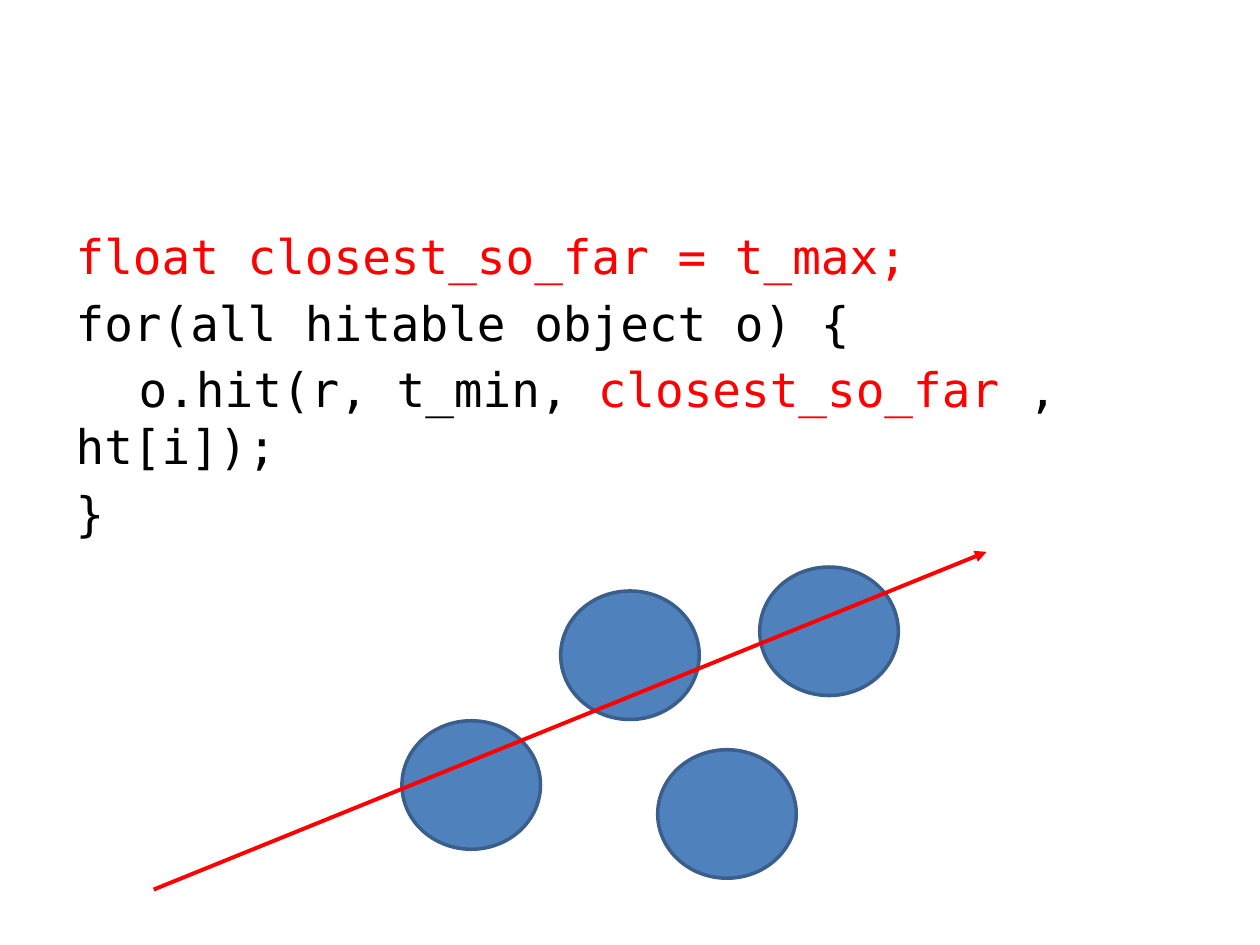
from pptx import Presentation
from pptx.dml.color import RGBColor as RGB
from pptx.enum.shapes import MSO_CONNECTOR as LINK, MSO_SHAPE as SHAPE
from pptx.enum.text import MSO_ANCHOR as ANCHOR, MSO_AUTO_SIZE as FIT
from pptx.oxml.ns import qn
from pptx.util import Inches, Pt
from lxml.etree import SubElement as add_sub

HUES = {"red": "FF0000", "black": "000000", "blue": "4F81BD", "edge": "3A5F8C"}
FONT = "DejaVu Sans Mono"


def hue(name):
    return RGB.from_string(HUES[name])


deck = Presentation()
deck.slide_width, deck.slide_height = Inches(10), Inches(7.5)
slide = deck.slides.add_slide(deck.slide_layouts[1])
title = slide.shapes.title.element
title.getparent().remove(title)

code = slide.placeholders[1]
code.left, code.top = Inches(0.5), Inches(1.75)
code.width, code.height = Inches(9.5), Inches(2.24)
frame = code.text_frame
frame.word_wrap = True
frame.auto_size = FIT.NONE
frame.vertical_anchor = ANCHOR.TOP

lines = [
    [("float closest_so_far = t_max;", "red")],
    [("for(all hitable object o) {", "black")],
    [("\to.hit(r, t_min, ", "black"), ("closest_so_far ", "red"), (", ht[i]);", "black")],
    [("}", "black")],
]
for i, line in enumerate(lines):
    para = frame.add_paragraph() if i else frame.paragraphs[0]
    props = para._p.get_or_add_pPr()
    props.set("marL", "0")
    props.set("indent", "0")
    add_sub(props, qn("a:buNone"))
    for text, tint in line:
        run = para.add_run()
        run.text = text
        run.font.name = FONT
        run.font.size = Pt(27.2)
        run.font.color.rgb = hue(tint)

for x, y in [(3.19, 5.72), (4.45, 4.69), (6.03, 4.5), (5.22, 5.95)]:
    ball = slide.shapes.add_shape(
        SHAPE.OVAL, Inches(x), Inches(y), Inches(1.1), Inches(1.02))
    ball.shadow.inherit = False
    ball.fill.solid()
    ball.fill.fore_color.rgb = hue("blue")
    ball.line.color.rgb = hue("edge")
    ball.line.width = Pt(2)

ray = slide.shapes.add_connector(
    LINK.STRAIGHT, Inches(1.22), Inches(7.06), Inches(7.83), Inches(4.38))
ray.line.color.rgb = hue("red")
ray.line.width = Pt(2.25)
add_sub(ray.line._get_or_add_ln(), qn("a:tailEnd"), type="triangle")
add_sub(ray.element.spPr, qn("a:effectLst"))

deck.save("out.pptx")
